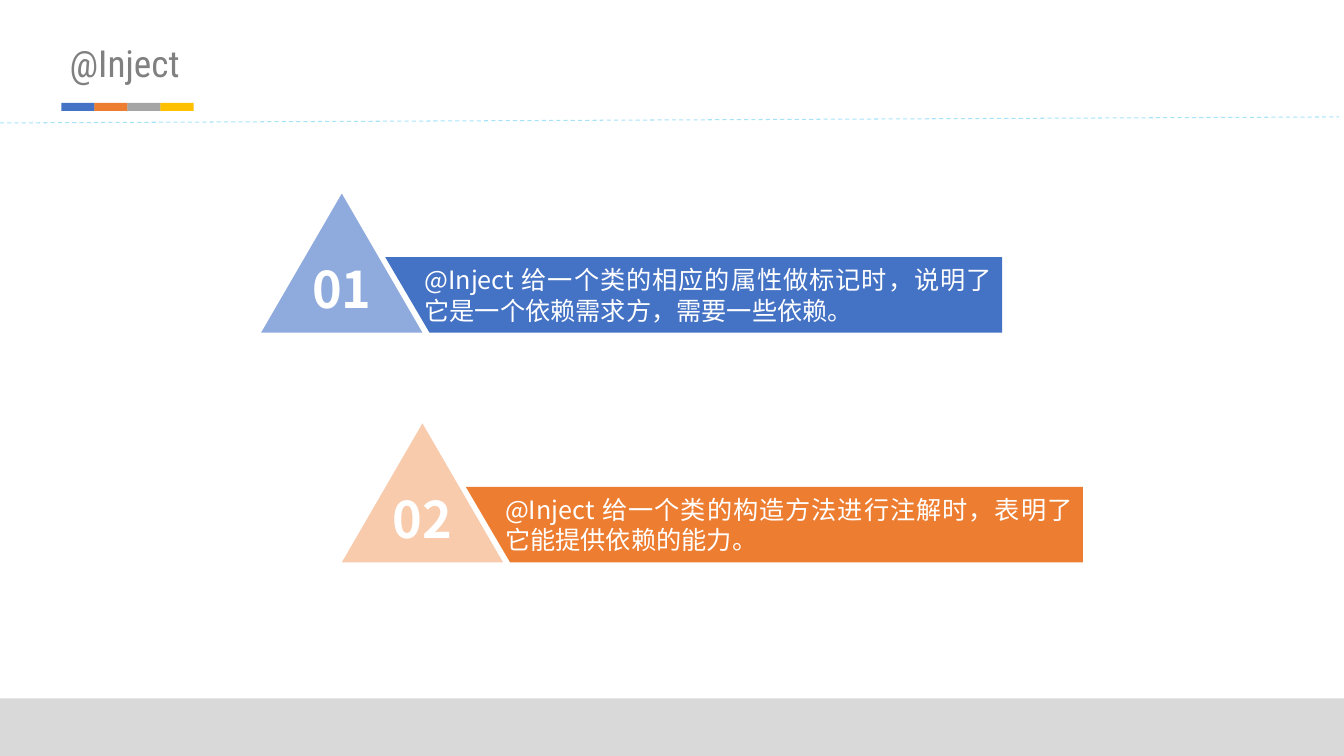
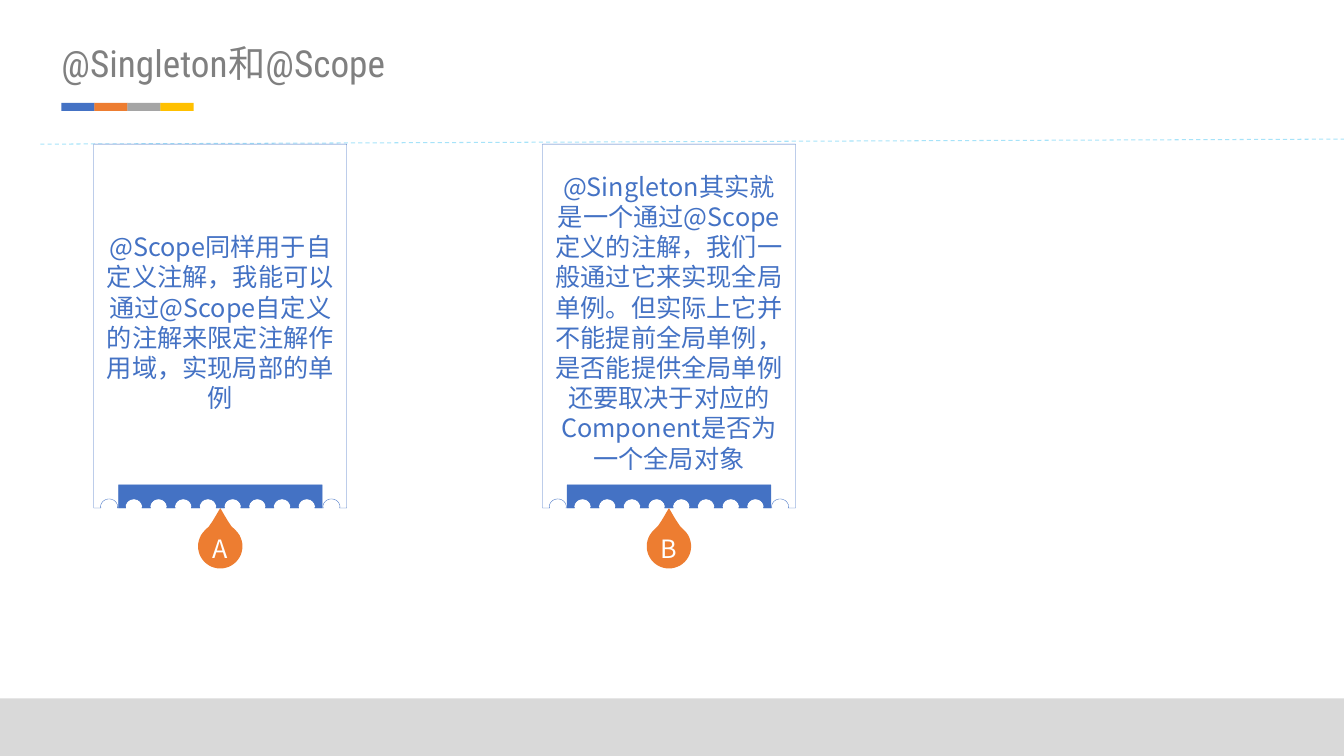
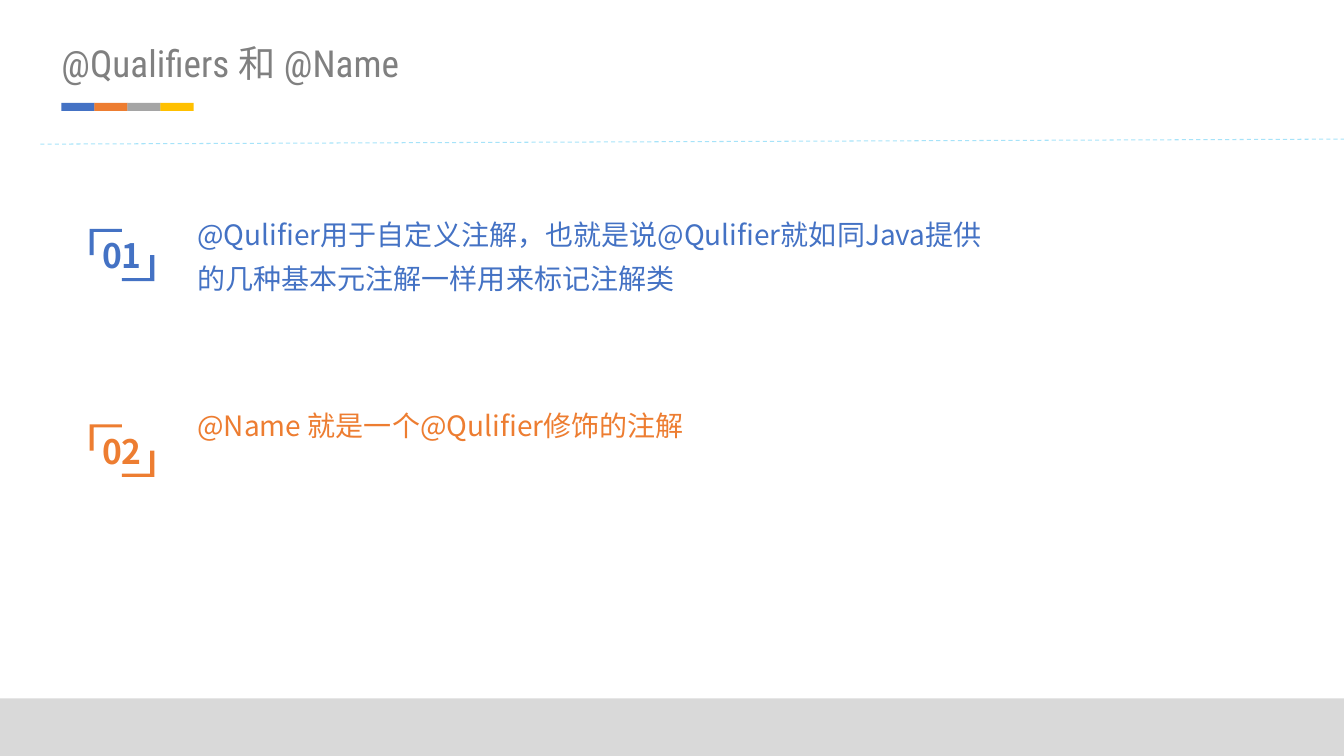
import math

import pptx
import pptx.dml.color
import pptx.enum.dml
import pptx.enum.shapes
import pptx.enum.text
import pptx.oxml
import pptx.oxml.ns
import pptx.util

Inches = pptx.util.Inches
SHAPE = pptx.enum.shapes.MSO_SHAPE
ALIGN = pptx.enum.text.PP_ALIGN
ANCHOR = pptx.enum.text.MSO_ANCHOR

# Shared look
WIDE, HIGH = 13.33, 7.5
BLUE, ORANGE, GRAY, GOLD = "4472C4", "ED7D31", "A5A5A5", "FFC000"
WHITE, PALE, PEACH = "FFFFFF", "8FAADC", "F8CBAD"
BAND, TITLE, RULE = "D9D9D9", "808080", "00B0F0"
BODY, HEAD = "Noto Sans CJK SC", "Roboto Condensed"
INSET = (0.1, 0.05, 0.1, 0.05)


def rgb(code):
    return pptx.dml.color.RGBColor.from_string(code)


def node(parent, tag, **attrs):
    item = pptx.oxml.ns.qn(tag)
    child = parent.makeelement(item, attrs)
    parent.append(child)
    return child


def paint(shape, fill, line=None):
    shape.shadow.inherit = False
    shape.fill.solid()
    shape.fill.fore_color.rgb = rgb(fill)
    if line:
        shape.line.color.rgb = rgb(line)
        shape.line.width = pptx.util.Pt(0.25)
    else:
        shape.line.fill.background()
    return shape


def write(shape, text, size, color, align=ALIGN.LEFT, anchor=ANCHOR.MIDDLE,
          inset=INSET, face=BODY, bold=False, space=None):
    frame = shape.text_frame
    frame.word_wrap = True
    frame.vertical_anchor = anchor
    (frame.margin_left, frame.margin_top,
     frame.margin_right, frame.margin_bottom) = map(Inches, inset)
    para = frame.paragraphs[0]
    para.text = text
    para.alignment = align
    if space:
        para.line_spacing = space
    font = para.font
    font.size = pptx.util.Pt(size)
    font.bold = bold
    font.color.rgb = rgb(color)
    font.name = face
    props = para._p.pPr.find(pptx.oxml.ns.qn("a:defRPr"))
    node(props, "a:ea", typeface=BODY)


def block(slide, kind, x, y, w, h, fill):
    shape = slide.shapes.add_shape(kind, *map(Inches, (x, y, w, h)))
    return paint(shape, fill)


def label(slide, x, y, w, h, text, size, color, **style):
    box = slide.shapes.add_textbox(*map(Inches, (x, y, w, h)))
    write(box, text, size, color, anchor=ANCHOR.TOP, **style)


def outline(slide, x, y, loops, fill, line=None):
    """Closed loops of points, measured from (x, y)."""
    loops = [[(Inches(x + a), Inches(y + b)) for a, b in loop]
             for loop in loops]
    pen = slide.shapes.build_freeform(*loops[0][0])
    for i, loop in enumerate(loops):
        if i:
            pen.move_to(*loop[0])
        pen.add_line_segments(loop[1:], close=True)
    return paint(pen.convert_to_shape(), fill, line)


def arc(cx, cy, rx, ry, start, stop, steps):
    turns = [math.radians(start + (stop - start) * i / steps)
             for i in range(steps + 1)]
    return [(cx + rx * math.cos(t), cy + ry * math.sin(t)) for t in turns]


def base(deck, title, left, start, stop):
    """Blank slide with footer band, title, colour strip and dashed rule."""
    slide = deck.slides.add_slide(deck.slide_layouts[6])
    block(slide, SHAPE.RECTANGLE, 0, 6.93, WIDE, 0.57, BAND)
    for i, color in enumerate((BLUE, ORANGE, GRAY, GOLD)):
        block(slide, SHAPE.RECTANGLE, 0.61 + 0.327 * i, 1.02, 0.33, 0.08, color)
    label(slide, left, 0.4, 5.89, 0.45, title, 26.6, TITLE,
          face=HEAD, inset=(0, 0, 0, 0))
    rule = slide.shapes.add_connector(
        pptx.enum.shapes.MSO_CONNECTOR.STRAIGHT, *map(Inches, start + stop))
    rule.line.color.rgb = rgb(RULE)
    rule.line.width = pptx.util.Pt(0.75)
    rule.line.dash_style = pptx.enum.dml.MSO_LINE.DASH
    props = rule._element.spPr
    tone = next(props.iter(pptx.oxml.ns.qn("a:srgbClr")))
    node(tone, "a:alpha", val="34000")
    node(props, "a:effectLst")
    return slide


def step(slide, x, y, mark, text, light, dark):
    """Numbered triangle with a slanted bar."""
    peak = block(slide, SHAPE.ISOSCELES_TRIANGLE, x, y, 1.6, 1.38, light)
    write(peak, mark, 36, WHITE, ALIGN.CENTER, bold=True,
          inset=(0.1, 0.05, 0.1, 0.24))
    bar = outline(slide, x + 1.23, y + 0.63,
                  [[(0, 0), (6.12, 0), (6.12, 0.75), (0.44, 0.75)]], dark)
    write(bar, text, 18, WHITE, ALIGN.JUSTIFY, inset=(0.39, 0.05, 0.1, 0.05))


def stub(slide, x, y, w, h, holes, fill):
    """Rectangle whose lower edge has evenly spaced round notches."""
    loop = [(0, 0), (w, 0), (w, h)]
    for i in reversed(range(holes)):
        mid = w / 2 + 0.245 * (i - (holes - 1) / 2)
        loop += [(mid + 0.08, h)]
        loop += arc(mid, h - 0.01, 0.085, 0.08, 0, -180, 12)
        loop += [(mid - 0.08, h)]
    return outline(slide, x, y, [loop + [(0, h)]], fill, BLUE)


def card(slide, x, y, mark, text):
    """Ticket with a perforated foot and a lettered drop."""
    w, h = 2.51, 3.61
    curve = [(0.04, 0.07), (0.07, 0.12), (0.11, 0.18)]
    loop = ([(0, 0)] + curve + arc(0, 0.38, 0.22, 0.22, -45, 225, 36)
            + [(-a, b) for a, b in reversed(curve)])
    drop = outline(slide, x + w / 2, y + h, [loop], ORANGE)
    write(drop, mark, 18, WHITE, ALIGN.CENTER, ANCHOR.BOTTOM)
    sheet = stub(slide, x, y, w, h, 10, WHITE)
    write(sheet, text, 18, BLUE, ALIGN.CENTER, inset=(0.1, 0.08, 0.1, 0.16))
    stub(slide, x + 0.245, y + h - 0.23, w - 0.49, 0.23, 8, BLUE)


def note(slide, x, y, drop, mark, text, color):
    """Number in corner brackets, with text on its right."""
    label(slide, x + 0.97, y, 8.05, 1.29, text, 20, color, space=1.3)
    w, h, t = 0.64, 0.52, 0.03
    corner = [(0, 0), (w / 2, 0), (w / 2, t), (0.04, t),
              (0.04, h / 2), (0, h / 2)]
    turned = [(w - a, h - b) for a, b in corner]
    frame = outline(slide, x, y + drop, [corner, turned], color)
    write(frame, mark, 24, color, ALIGN.CENTER, bold=True, inset=(0, 0.05, 0, 0.05))


def main():
    deck = pptx.Presentation()
    deck.slide_width, deck.slide_height = Inches(WIDE), Inches(HIGH)

    # Inject
    slide = base(deck, "@Inject", 0.69, (0, 1.22), (13.28, 1.16))
    step(slide, 2.59, 1.92, "01",
         "@Inject 给一个类的相应的属性做标记时，说明了它是一个依赖需求方，需要一些依赖。",
         PALE, BLUE)
    step(slide, 3.39, 4.2, "02",
         "@Inject 给一个类的构造方法进行注解时，表明了它能提供依赖的能力。",
         PEACH, ORANGE)

    # Singleton and Scope
    low = (0.4, 1.43), (WIDE, 1.38)
    slide = base(deck, "@Singleton和@Scope", 0.61, *low)
    card(slide, 0.93, 1.43, "A",
         "@Scope同样用于自定义注解，我能可以通过@Scope自定义的注解来限定注解作用域，实现局部的单例")
    card(slide, 5.38, 1.43, "B",
         "@Singleton其实就是一个通过@Scope定义的注解，我们一般通过它来实现全局单例。"
         "但实际上它并不能提前全局单例，是否能提供全局单例还要取决于对应的Component是否为一个全局对象")

    # Qualifiers and Name
    slide = base(deck, "@Qualifiers 和 @Name", 0.61, *low)
    note(slide, 0.89, 2.01, 0.26, "01",
         "@Qulifier用于自定义注解，也就是说@Qulifier就如同Java提供的几种基本元注解一样用来标记注解类",
         BLUE)
    note(slide, 0.89, 3.9, 0.31, "02", "@Name 就是一个@Qulifier修饰的注解", ORANGE)

    deck.save("out.pptx")


if __name__ == "__main__":
    main()
